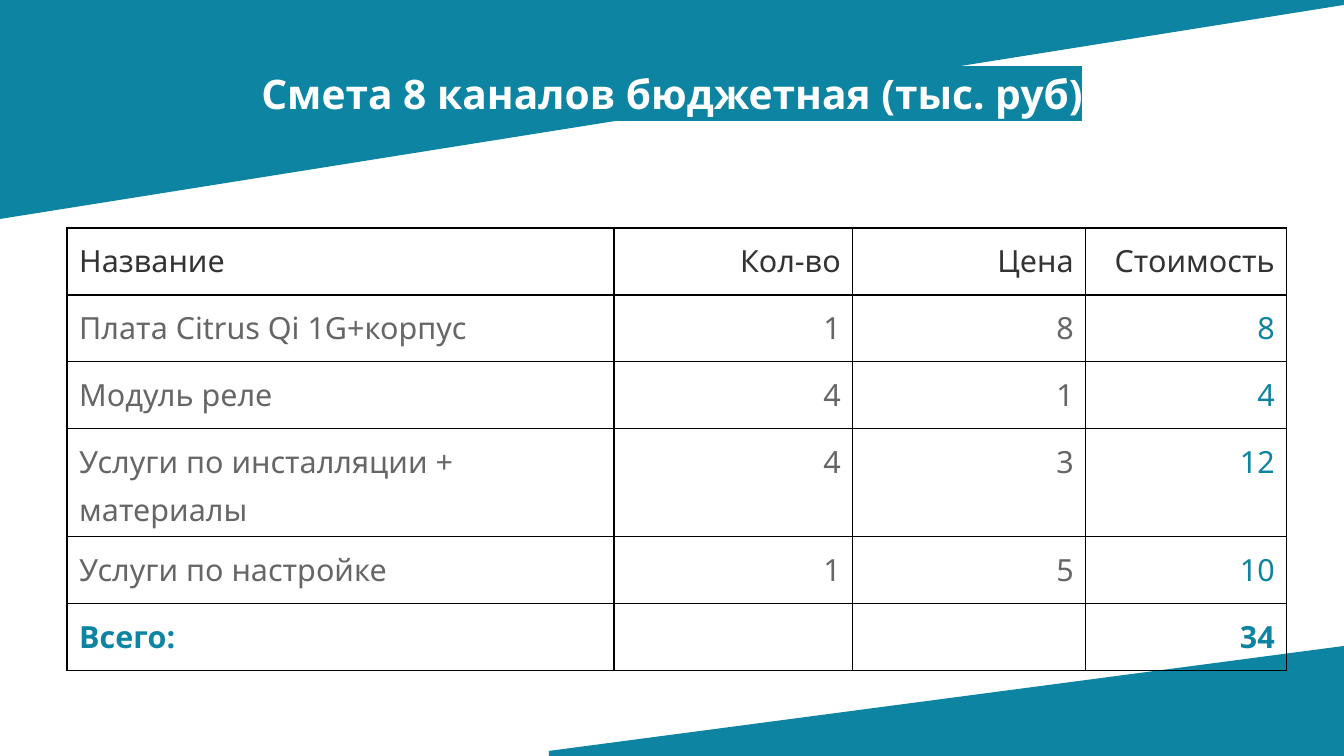
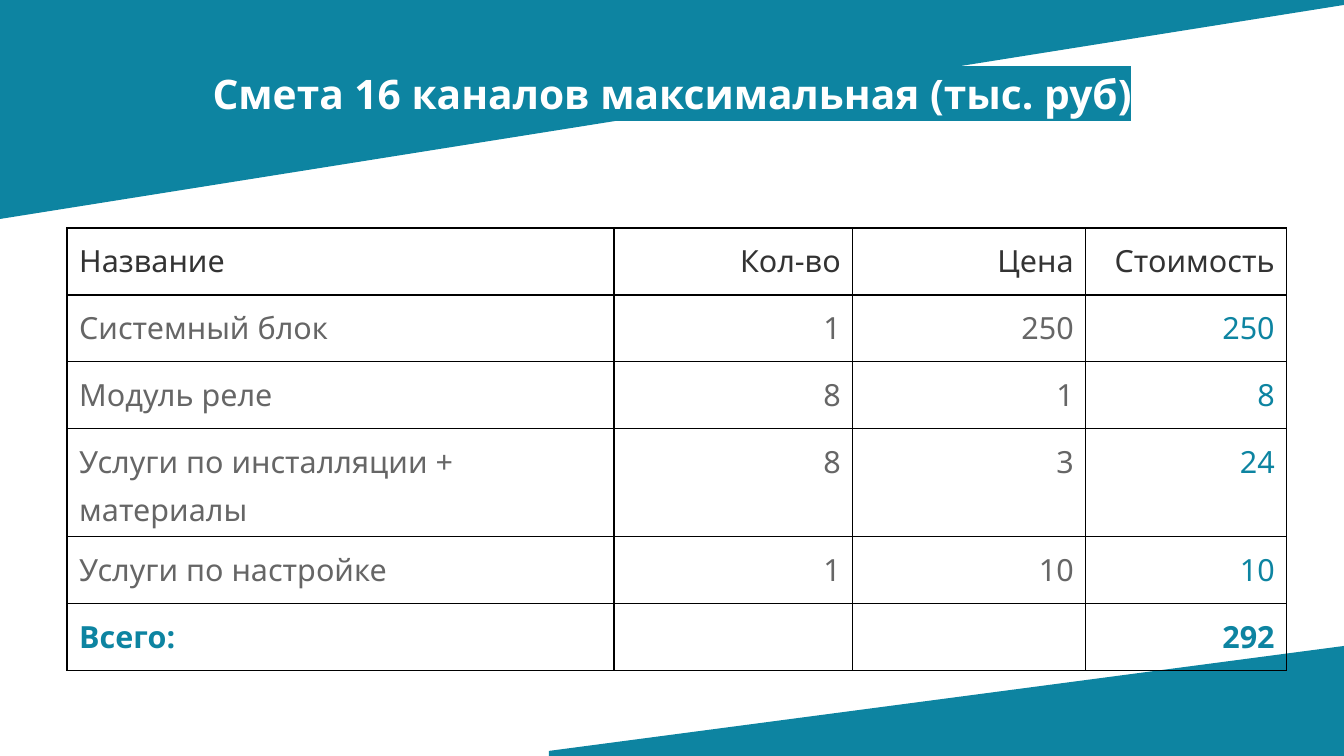
"""Build two cost estimate slides that share bands, title style and table grid."""
from dataclasses import dataclass
from typing import Any

from lxml import etree
from pptx import Presentation
from pptx import util as u
from pptx.dml.color import RGBColor
from pptx.enum import text as t
from pptx.oxml import ns

SCALE = 914400 / 122
WIDE, HIGH = 1344, 756
TEAL = RGBColor(0x0D, 0x84, 0xA1)
WHITE = RGBColor(0xFF, 0xFF, 0xFF)
BLACK = RGBColor(0, 0, 0)
DARK = RGBColor(0x33, 0x33, 0x33)
GRAY = RGBColor(0x66, 0x66, 0x66)
FACE = "Noto Sans"
HEAD = {"name": FACE, "size": u.Pt(24), "bold": True}
BODY = {"name": FACE, "size": u.Pt(18), "bold": False}
TOTAL = {**BODY, "bold": True}
FRAME = {
    "margin_left": 0, "margin_right": 0, "margin_top": 0, "margin_bottom": 0,
    "word_wrap": True, "vertical_anchor": t.MSO_ANCHOR.MIDDLE,
}
BANDS = (
    ((549, 751), (1344, 646), (1344, 756), (549, 756)),
    ((0, 0), (1344, 0), (1344, 5), (0, 219)),
)
COLS = (547, 239, 233, 201)
ROWS = (67, 67, 67, 108, 67, 67)
TITLES = ("Название", "Кол-во", "Цена", "Стоимость")


@dataclass(frozen=True)
class Item:
    name: str
    count: int
    price: int
    cost: int


@dataclass(frozen=True)
class Quote:
    title: str
    items: tuple[Item, ...]
    total: int


QUOTES = (
    Quote("Смета 8 каналов бюджетная (тыс. руб)", (
        Item("Плата Citrus Qi 1G+корпус", 1, 8, 8),
        Item("Модуль реле", 4, 1, 4),
        Item("Услуги по инсталляции + материалы", 4, 3, 12),
        Item("Услуги по настройке", 1, 5, 10),
    ), 34),
    Quote("Смета 16 каналов максимальная (тыс. руб)", (
        Item("Системный блок", 1, 250, 250),
        Item("Модуль реле", 8, 1, 8),
        Item("Услуги по инсталляции + материалы", 8, 3, 24),
        Item("Услуги по настройке", 1, 10, 10),
    ), 292),
)


def px(size: int) -> u.Emu:
    """Turn pixels into EMU."""
    return u.Emu(round(size * SCALE))


def apply(target: Any, form: dict[str, Any]) -> None:
    """Set each format value on the target."""
    for key, value in form.items():
        setattr(target, key, value)


def paint(tag: str, color: RGBColor) -> Any:
    """Make an XML element that holds one colour."""
    node = etree.Element(ns.qn(tag))
    etree.SubElement(node, ns.qn("a:srgbClr"), val=str(color))
    return node


def write(para: Any, words: str, form: dict[str, Any], color: RGBColor) -> Any:
    """Add a formatted run to a paragraph."""
    run = para.add_run()
    run.text = words
    apply(run.font, form)
    run.font.color.rgb = color
    return run


def add_band(slide: Any, points: tuple[tuple[int, int], ...]) -> None:
    """Draw one slanted band."""
    path = slide.shapes.build_freeform(*points[0], scale=SCALE)
    path.add_line_segments(points[1:], close=True)
    band = path.convert_to_shape()
    band.shadow.inherit = False
    band.fill.solid()
    band.fill.fore_color.rgb = TEAL
    band.line.fill.background()


def add_title(slide: Any, words: str) -> None:
    """Write the highlighted title."""
    box = slide.shapes.add_textbox(px(67), px(30), px(1210), px(126))
    apply(box.text_frame, FRAME)
    para = box.text_frame.paragraphs[0]
    para.alignment = t.PP_ALIGN.CENTER
    run = write(para, words, HEAD, WHITE)
    fill = run._r.get_or_add_rPr().find(ns.qn("a:solidFill"))
    fill.addnext(paint("a:highlight", TEAL))


def add_edges(cell: Any) -> None:
    """Rule all four sides of a cell."""
    props = cell._tc.get_or_add_tcPr()
    for spot, side in enumerate(("lnL", "lnR", "lnT", "lnB")):
        edge = etree.Element(ns.qn(f"a:{side}"), w=str(u.Pt(0.75)))
        edge.append(paint("a:solidFill", BLACK))
        props.insert(spot, edge)


def add_table(slide: Any, quote: Quote) -> None:
    """Draw the table of items and their total."""
    rows = [TITLES]
    rows += [(i.name, i.count, i.price, i.cost) for i in quote.items]
    rows.append(("Всего:", "", "", quote.total))
    last = len(rows) - 1
    grid = slide.shapes.add_table(
        len(ROWS), len(COLS), px(67), px(228), px(sum(COLS)), px(sum(ROWS))
    ).table
    apply(grid, {"first_row": False, "horz_banding": False})
    for col, width in zip(grid.columns, COLS):
        col.width = px(width)
    for line, height in zip(grid.rows, ROWS):
        line.height = px(height)
    for r, row in enumerate(rows):
        for c, value in enumerate(row):
            cell = grid.cell(r, c)
            cell.fill.background()
            add_edges(cell)
            para = cell.text_frame.paragraphs[0]
            para.line_spacing = 1.15
            para.alignment = t.PP_ALIGN.RIGHT if c else t.PP_ALIGN.LEFT
            if value == "":
                apply(para.font, BODY)
                continue
            teal = r == last or c == len(COLS) - 1
            color = DARK if r == 0 else TEAL if teal else GRAY
            write(para, str(value), TOTAL if r == last else BODY, color)


def main() -> None:
    """Build and save the slides."""
    deck = Presentation()
    apply(deck, {"slide_width": px(WIDE), "slide_height": px(HIGH)})
    for quote in QUOTES:
        slide = deck.slides.add_slide(deck.slide_layouts[6])
        for points in BANDS:
            add_band(slide, points)
        add_table(slide, quote)
        add_title(slide, quote.title)
    deck.save("out.pptx")


if __name__ == "__main__":
    main()
